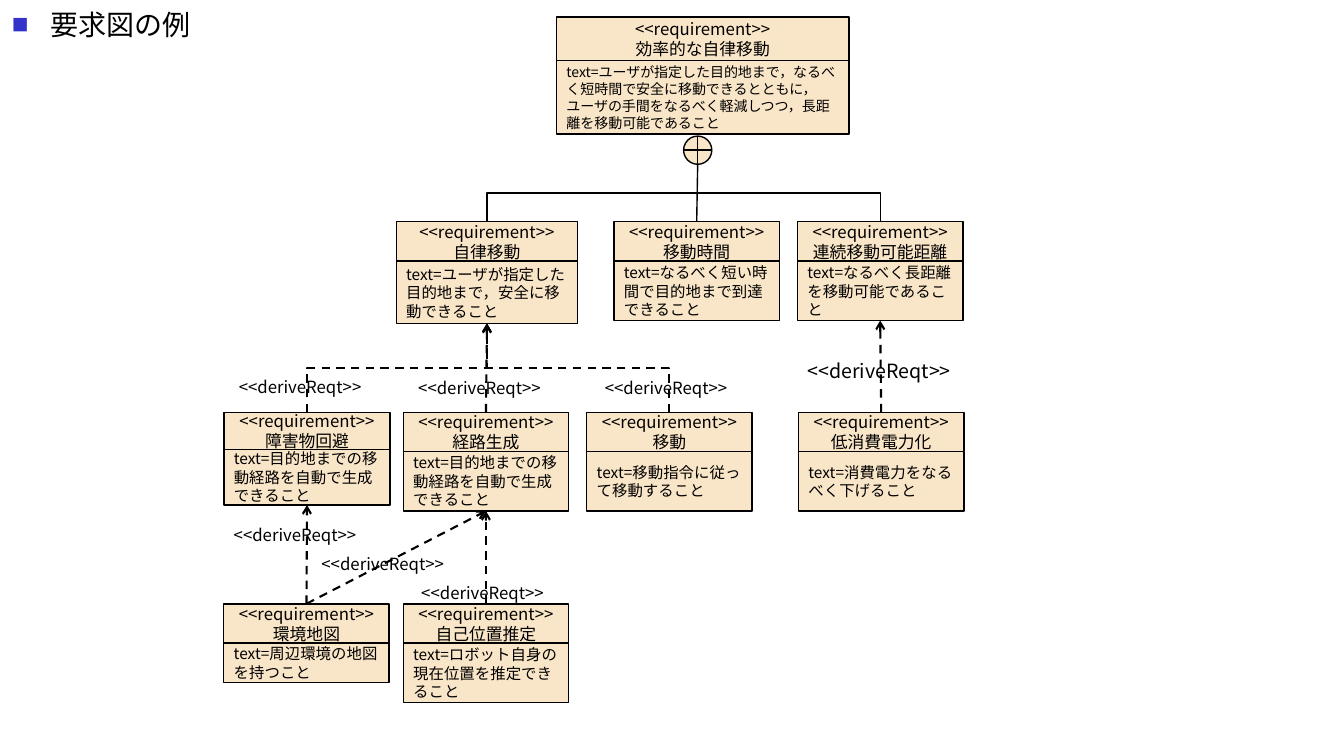
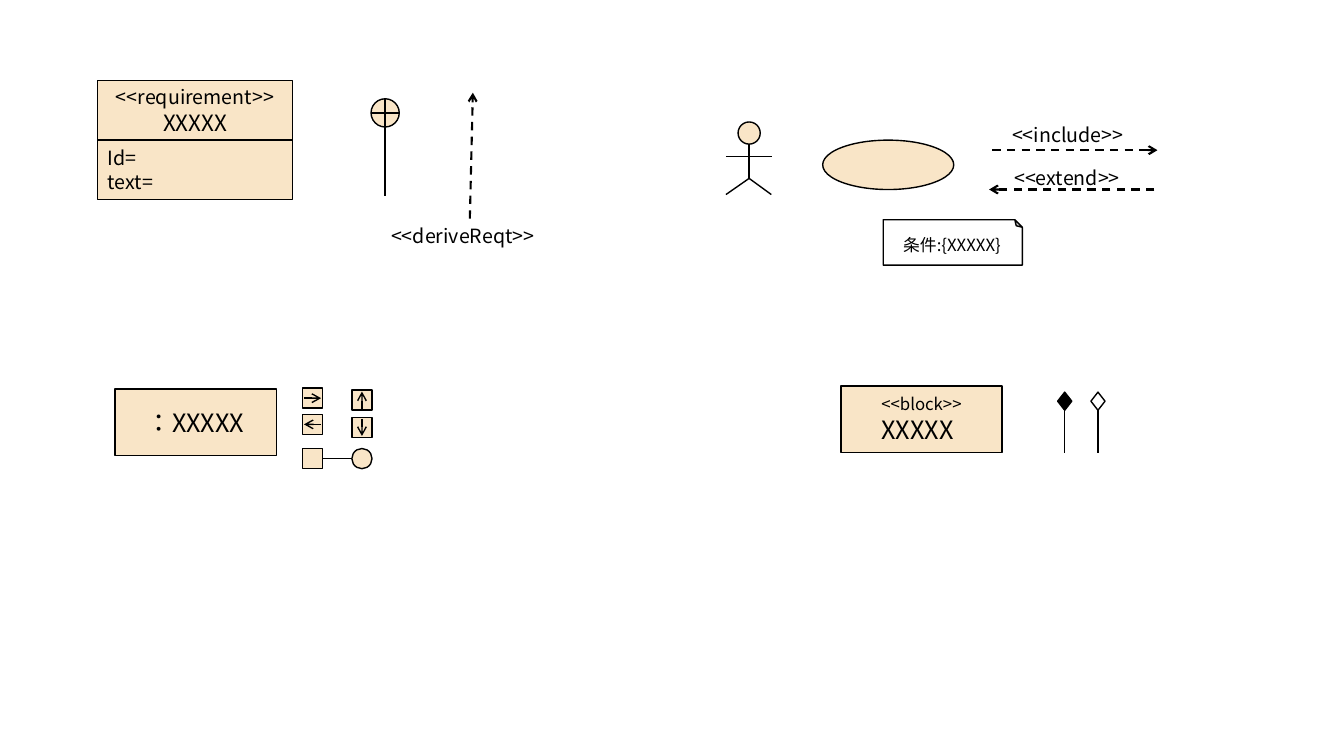
from dataclasses import dataclass

from pptx import Presentation
from pptx.dml.color import RGBColor
from pptx.enum import dml, lang, shapes as kinds, text as text_enum
from pptx.oxml import ns, xmlchemy
from pptx.util import Inches, Pt


@dataclass(frozen=True)
class Theme:
    font: str = "Noto Sans CJK JP"
    ink: str = "000000"
    paper: str = "FFFFFF"
    box: str = "F9E5C7"
    bullet: str = "3333CC"
    title: int = 20
    large: int = 18
    name: int = 16
    label: int = 14
    heading: int = 12
    body: int = 11
    small: int = 10
    thin: float = 1
    thick: float = 1.5


THEME = Theme()
SHAPE = kinds.MSO_SHAPE
CENTER = text_enum.PP_ALIGN.CENTER
LEFT = text_enum.PP_ALIGN.LEFT
TOP_SIDE, RIGHT_SIDE, BOTTOM_SIDE = 0, 3, 2

# Content of the requirement diagram
TITLE = "要求図の例"
STEREOTYPE = "<<requirement>>"
DERIVE = "<<deriveReqt>>"

# name, left, top, text, differences from the usual box
REQUIREMENTS = [
    ("効率的な自律移動", 5.52, 0.17,
     "text=ユーザが指定した目的地まで，なるべく短時間で安全に移動できるとともに，"
     "ユーザの手間をなるべく軽減しつつ，長距離を移動可能であること",
     dict(width=2.9, head=0.43, body=0.73, size=THEME.small)),
    ("自律移動", 3.93, 2.2, "text=ユーザが指定した目的地まで，安全に移動できること",
     dict(width=1.8, body=0.62)),
    ("移動時間", 6.09, 2.2, "text=なるべく短い時間で目的地まで到達できること", {}),
    ("連続移動可能距離", 7.91, 2.2, "text=なるべく長距離を移動可能であること", {}),
    ("障害物回避", 2.22, 4.09, "text=目的地までの移動経路を自動で生成できること",
     dict(width=1.65, head=0.37, body=0.55)),
    ("経路生成", 4, 4.09, "text=目的地までの移動経路を自動で生成できること", {}),
    ("移動", 5.82, 4.09, "text=移動指令に従って移動すること", {}),
    ("低消費電力化", 7.92, 4.09, "text=消費電力をなるべく下げること", {}),
    ("環境地図", 2.22, 5.99, "text=周辺環境の地図を持つこと", dict(body=0.39)),
    ("自己位置推定", 4, 5.99, "text=ロボット自身の現在位置を推定できること", {}),
]
# part of the top requirement, bent or straight
PARTS = [("自律移動", True), ("移動時間", False), ("連続移動可能距離", True)]
# derived requirement, its source, bent or straight
DERIVATIONS = [
    ("障害物回避", "自律移動", True),
    ("経路生成", "自律移動", False),
    ("移動", "自律移動", True),
    ("低消費電力化", "連続移動可能距離", False),
    ("環境地図", "障害物回避", False),
    ("環境地図", "経路生成", False),
    ("自己位置推定", "経路生成", False),
]
DERIVE_LABELS = [(2.27, 3.69), (4.05, 3.7), (5.9, 3.7),
                 (2.22, 5.16), (3.09, 5.44), (4.08, 5.73)]

# Content of the symbol sheet: left, top, arrow direction
FLOW_PORTS = [(3, 3.85, (1, 0)), (3, 4.11, (-1, 0)),
              (3.49, 3.87, (0, -1)), (3.49, 4.14, (0, 1))]
ACTOR_LIMBS = [((7.2, 1.55), (7.66, 1.55)), ((7.43, 1.77), (7.43, 1.43)),
               ((7.2, 1.93), (7.43, 1.77)), ((7.65, 1.93), (7.43, 1.77))]
RELATIONS = [("<<include>>", 9.94, 1.17, 1.43, (9.84, 1.49), (11.48, 1.49)),
             ("<<extend>>", 9.96, 1.6, 1.38, (11.45, 1.88), (9.81, 1.88))]
DIAMONDS = [(10.49, THEME.ink), (10.82, THEME.paper)]


# Helpers
def rgb(value):
    return RGBColor.from_string(value)


def add_element(parent, tag, **attributes):
    element = xmlchemy.OxmlElement(tag)
    for key, value in attributes.items():
        element.set(key, value)
    parent.append(element)
    return element


def write(shape, lines, size=THEME.heading, align=LEFT, wrap=True,
          anchor=text_enum.MSO_ANCHOR.MIDDLE, bullet=False):
    """Each line is a string, or a (string, size) pair."""
    frame = shape.text_frame
    frame.word_wrap = wrap
    frame.vertical_anchor = anchor
    for index, line in enumerate(lines):
        words, points = line if isinstance(line, tuple) else (line, size)
        paragraph = frame.paragraphs[0] if index == 0 else frame.add_paragraph()
        paragraph.alignment = align
        if bullet:
            paragraph.line_spacing = 0.9
            properties = paragraph._p.get_or_add_pPr()
            properties.set("marL", str(Inches(0.38)))
            properties.set("indent", str(-Inches(0.38)))
            colour = add_element(properties, "a:buClr")
            add_element(colour, "a:srgbClr", val=THEME.bullet)
            add_element(properties, "a:buSzPct", val="60000")
            add_element(properties, "a:buFont", typeface=THEME.font)
            add_element(properties, "a:buChar", char="■")
        run = paragraph.add_run()
        run.text = words
        run.font.size = Pt(points)
        run.font.name = THEME.font
        run.font.color.rgb = rgb(THEME.ink)
        run.font.language_id = lang.MSO_LANGUAGE_ID.JAPANESE
        add_element(run._r.get_or_add_rPr(), "a:ea", typeface=THEME.font)


def add_box(shapes, kind, left, top, width, height, fill=THEME.box):
    shape = shapes.add_shape(kind, Inches(left), Inches(top), Inches(width), Inches(height))
    shape.shadow.inherit = False
    shape.fill.solid()
    shape.fill.fore_color.rgb = rgb(fill)
    shape.line.color.rgb = rgb(THEME.ink)
    shape.line.width = Pt(THEME.thin)
    return shape


def add_label(shapes, words, left, top, width=1.53, height=0.3, size=THEME.heading):
    label = shapes.add_textbox(Inches(left), Inches(top), Inches(width), Inches(height))
    write(label, [words], size=size, wrap=False, anchor=text_enum.MSO_ANCHOR.TOP)
    label.text_frame.auto_size = text_enum.MSO_AUTO_SIZE.SHAPE_TO_FIT_TEXT


def bend(connector):
    """Turn an elbow so that it leaves and arrives vertically."""
    x1, y1 = connector.begin_x, connector.begin_y
    x2, y2 = connector.end_x, connector.end_y
    across, down = abs(x2 - x1), abs(y2 - y1)
    connector.left = (x1 + x2 - down) // 2
    connector.top = (y1 + y2 - across) // 2
    connector.width, connector.height = down, across
    transform = connector._element.spPr.find(ns.qn("a:xfrm"))
    transform.set("rot", str(90 * 60000))
    transform.set("flipH", str(int(y2 < y1)))
    transform.set("flipV", str(int(x2 > x1)))


def connect(shapes, start, end, bent=False, dashed=False, arrow=False):
    """Each end is an (x, y) point in inches, or a (shape, side) pair."""
    def joined(place):
        return hasattr(place[0], "shape_id")

    points = [(0, 0) if joined(place) else place for place in (start, end)]
    kind = kinds.MSO_CONNECTOR.ELBOW if bent else kinds.MSO_CONNECTOR.STRAIGHT
    connector = shapes.add_connector(kind, *[Inches(v) for point in points for v in point])
    if joined(start):
        connector.begin_connect(*start)
    if joined(end):
        connector.end_connect(*end)
    if bent:
        bend(connector)
    connector.line.color.rgb = rgb(THEME.ink)
    connector.line.width = Pt(THEME.thick if dashed else THEME.thin)
    if dashed:
        connector.line.dash_style = dml.MSO_LINE.DASH
    if arrow:
        add_element(connector.line._get_or_add_ln(), "a:tailEnd", type="arrow")
    add_element(connector._element.spPr, "a:effectLst")


def add_requirement(slide, left, top, heading, details, width=1.64, head=0.39,
                    body=0.59, size=THEME.body, head_size=THEME.heading):
    group = slide.shapes.add_group_shape().shapes
    header = add_box(group, SHAPE.RECTANGLE, left, top, width, head)
    write(header, heading, size=head_size, align=CENTER)
    content = add_box(group, SHAPE.RECTANGLE, left, top + head, width, body)
    write(content, details, size=size)
    return header, content


def add_containment(slide, left, top, size=0.28):
    """Circled plus; returns the point at its bottom."""
    group = slide.shapes.add_group_shape().shapes
    middle_x, middle_y = left + size / 2, top + size / 2
    add_box(group, SHAPE.OVAL, left, top, size, size)
    connect(group, (left, middle_y), (left + size, middle_y))
    connect(group, (middle_x, top + size), (middle_x, top))
    return middle_x, top + size


def build_requirement_diagram(slide):
    shapes = slide.shapes
    title = shapes.add_textbox(Inches(0.02), Inches(0.06), Inches(9.66), Inches(0.6))
    write(title, [TITLE], size=THEME.title, anchor=text_enum.MSO_ANCHOR.TOP, bullet=True)

    boxes = {name: add_requirement(slide, left, top, [STEREOTYPE, name], [details], **options)
             for name, left, top, details, options in REQUIREMENTS}

    # Containment tree
    root = add_containment(slide, 6.78, 1.35)
    for name, bent in PARTS:
        connect(shapes, root, (boxes[name][0], TOP_SIDE), bent=bent)

    # Derivations
    for name, source, bent in DERIVATIONS:
        connect(shapes, (boxes[name][0], TOP_SIDE), (boxes[source][1], BOTTOM_SIDE),
                bent=bent, dashed=True, arrow=True)
    for left, top in DERIVE_LABELS:
        add_label(shapes, DERIVE, left, top)
    add_label(shapes, DERIVE, 7.91, 3.51, 1.75, 0.34, size=THEME.label)


def build_symbol_sheet(slide):
    shapes = slide.shapes

    # Requirement diagram symbols
    add_requirement(slide, 0.97, 0.8, [STEREOTYPE, ("XXXXX", THEME.name)], ["Id=", "text="],
                    width=1.93, head=0.59, body=0.59, size=THEME.label, head_size=THEME.label)
    connect(shapes, add_containment(slide, 3.68, 0.98), (3.82, 1.94))
    connect(shapes, (4.66, 2.17), (4.69, 0.92), dashed=True, arrow=True)
    add_label(shapes, DERIVE, 3.78, 2.17, 1.75, 0.34, size=THEME.label)

    # Part and block, with their lines centred as one unit
    for left, top, lines in [
        (1.14, 3.86, [("：XXXXX", THEME.large)]),
        (8.34, 3.83, ["<<block>>", ("XXXXX", THEME.large)]),
    ]:
        block = add_box(shapes, SHAPE.RECTANGLE, left, top, 1.6, 0.66)
        write(block, lines, wrap=False)
        block.text_frame._txBody.bodyPr.set("anchorCtr", "1")

    # Ports
    port, reach = 0.2, 0.085
    for left, top, (dx, dy) in FLOW_PORTS:
        group = shapes.add_group_shape().shapes
        add_box(group, SHAPE.RECTANGLE, left, top, port, port)
        x, y = left + port / 2, top + port / 2
        connect(group, (x - dx * reach, y - dy * reach), (x + dx * reach, y + dy * reach),
                arrow=True)
    square = add_box(shapes, SHAPE.RECTANGLE, 3, 4.45, port, port)
    add_box(shapes, SHAPE.OVAL, 3.49, 4.45, port, port)
    connect(shapes, (square, RIGHT_SIDE), (3.49, 4.55))

    # Use case symbols
    actor = shapes.add_group_shape().shapes
    add_box(actor, SHAPE.OVAL, 7.32, 1.21, 0.22, 0.22)
    for start, end in ACTOR_LIMBS:
        connect(actor, start, end)
    add_box(shapes, SHAPE.OVAL, 8.16, 1.39, 1.3, 0.49)
    for words, left, top, width, start, end in RELATIONS:
        connect(shapes, start, end, dashed=True, arrow=True)
        add_label(shapes, words, left, top, width, 0.34, size=THEME.label)
    note = add_box(shapes, SHAPE.FOLDED_CORNER, 8.76, 2.18, 1.38, 0.45, fill=THEME.paper)
    note._element.spPr.find(ns.qn("a:xfrm")).set("flipV", "1")
    add_label(shapes, "条件:{XXXXX}", 8.86, 2.28, 1.26)

    # Composition and aggregation
    for left, fill in DIAMONDS:
        diamond = add_box(shapes, SHAPE.DIAMOND, left, 3.89, 0.14, 0.18, fill=fill)
        connect(shapes, (diamond, BOTTOM_SIDE), (left + 0.07, 4.49))


def main():
    presentation = Presentation()
    presentation.slide_width, presentation.slide_height = Inches(13.33), Inches(7.5)
    for build in (build_requirement_diagram, build_symbol_sheet):
        build(presentation.slides.add_slide(presentation.slide_layouts[6]))
    presentation.save("out.pptx")


if __name__ == "__main__":
    main()
